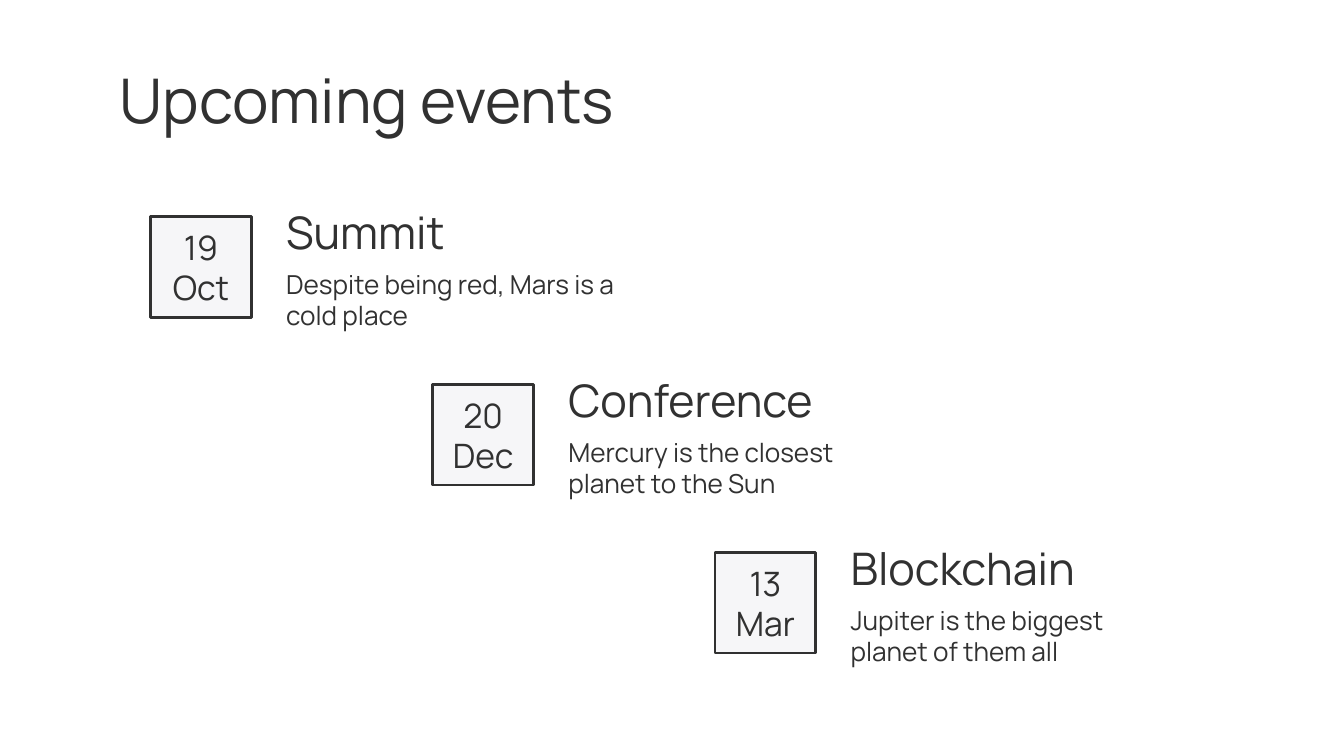
from dataclasses import dataclass

from pptx import Presentation, util as u
from pptx.dml.color import RGBColor
from pptx.enum import shapes, text


@dataclass(frozen=True)
class Theme:
    font: str = "Manrope"
    ink: RGBColor = RGBColor(0x31, 0x31, 0x31)
    tile: RGBColor = RGBColor(0xF6, 0xF6, 0xF8)
    paper: RGBColor = RGBColor(0xFF, 0xFF, 0xFF)
    title_size: int = 33
    heading_size: int = 24
    date_size: int = 18
    body_size: int = 14
    outline: float = 1.5


@dataclass(frozen=True)
class Stairs:
    """Each event sits one column right of and one row below the one before (inches)."""
    left: float = 1.12
    top: float = 1.61
    column: float = 2.1
    row: float = 1.25
    tile: float = 0.75
    text_indent: float = 0.91
    text_width: float = 2.65
    text_height: float = 0.42
    heading_drop: float = -0.1
    body_drop: float = 0.41


@dataclass(frozen=True)
class Event:
    date: str
    name: str
    detail: str


THEME = Theme()
STAIRS = Stairs()
SLIDE_WIDTH = u.Inches(10)
SLIDE_HEIGHT = SLIDE_WIDTH * 9 // 16
EVENTS = (
    Event("19 Oct", "Summit", "Despite being red, Mars is a cold place"),
    Event("20 Dec", "Conference", "Mercury is the closest planet to the Sun"),
    Event("13 Mar", "Blockchain", "Jupiter is the biggest planet of them all"),
)


def write(box, words: str, *, size: int, align=text.PP_ALIGN.LEFT) -> None:
    frame = box.text_frame
    frame.word_wrap = True
    frame.auto_size = text.MSO_AUTO_SIZE.NONE
    frame.vertical_anchor = text.MSO_ANCHOR.MIDDLE
    frame.margin_left = frame.margin_right = u.Inches(0.1)
    frame.margin_top = frame.margin_bottom = u.Inches(0.1)
    para = frame.paragraphs[0]
    para.alignment = align
    span = para.add_run()
    span.text = words
    span.font.name = THEME.font
    span.font.size = u.Pt(size)
    span.font.color.rgb = THEME.ink


def add_label(page, words: str, left: float, top: float, width: float,
              height: float, *, size: int) -> None:
    box = page.shapes.add_textbox(*map(u.Inches, (left, top, width, height)))
    write(box, words, size=size)


def add_date_tile(page, date: str, left: float, top: float) -> None:
    tile = page.shapes.add_shape(
        shapes.MSO_SHAPE.RECTANGLE,
        *map(u.Inches, (left, top, STAIRS.tile, STAIRS.tile)))
    tile.shadow.inherit = False
    tile.fill.solid()
    tile.fill.fore_color.rgb = THEME.tile
    tile.line.color.rgb = THEME.ink
    tile.line.width = u.Pt(THEME.outline)
    write(tile, date, size=THEME.date_size, align=text.PP_ALIGN.CENTER)


def add_event(page, event: Event, step: int) -> None:
    left = STAIRS.left + step * STAIRS.column
    top = STAIRS.top + step * STAIRS.row
    for words, drop, size in (
        (event.name, STAIRS.heading_drop, THEME.heading_size),
        (event.detail, STAIRS.body_drop, THEME.body_size),
    ):
        add_label(page, words, left + STAIRS.text_indent, top + drop,
                  STAIRS.text_width, STAIRS.text_height, size=size)
    add_date_tile(page, event.date, left, top)


def main() -> None:
    deck = Presentation()
    deck.slide_width, deck.slide_height = SLIDE_WIDTH, SLIDE_HEIGHT
    page = deck.slides.add_slide(deck.slide_layouts[6])
    page.background.fill.solid()
    page.background.fill.fore_color.rgb = THEME.paper
    for step, event in enumerate(EVENTS):
        add_event(page, event, step)
    add_label(page, "Upcoming events", 0.79, 0.42, 6.94, 0.63,
              size=THEME.title_size)
    deck.save("out.pptx")


if __name__ == "__main__":
    main()
